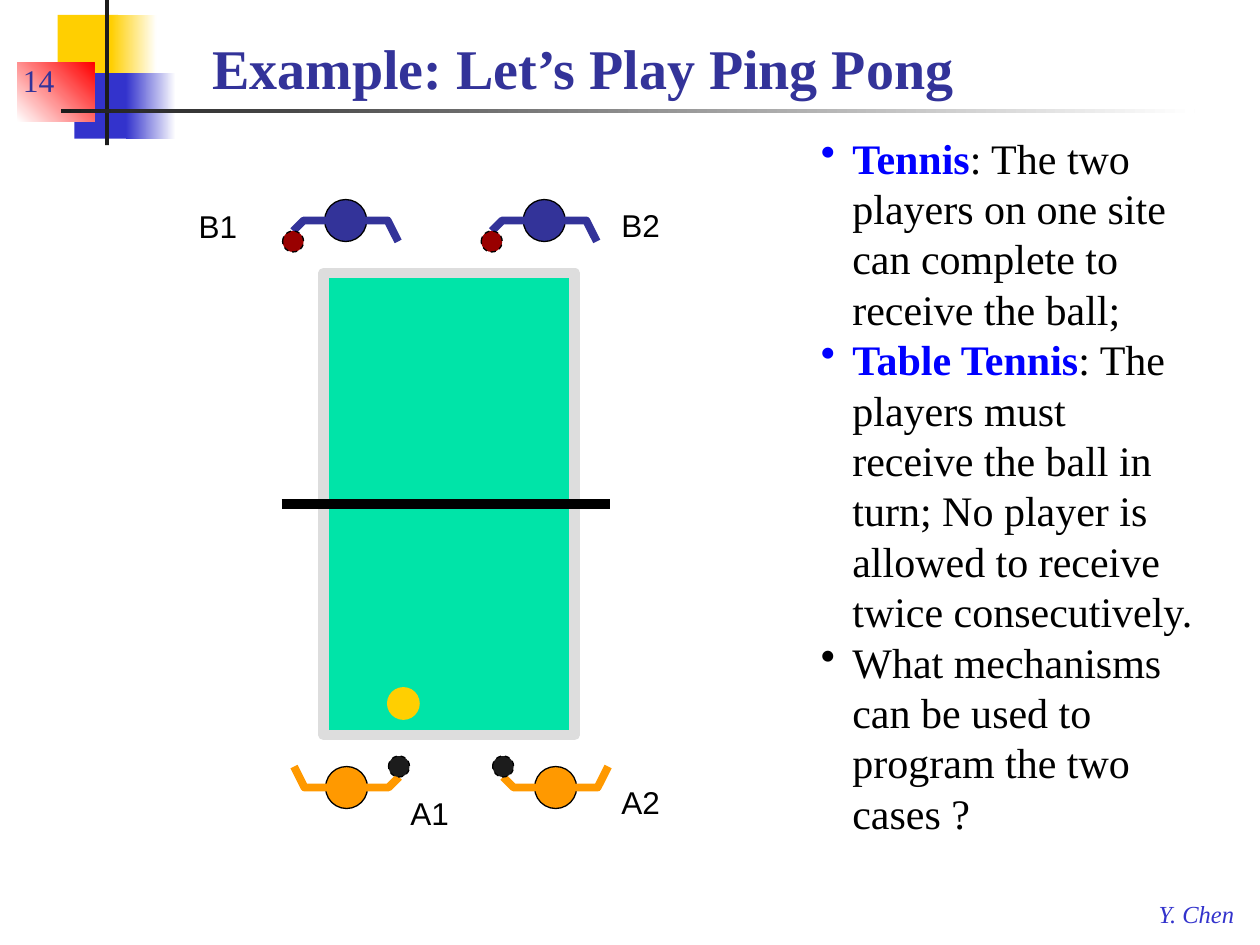
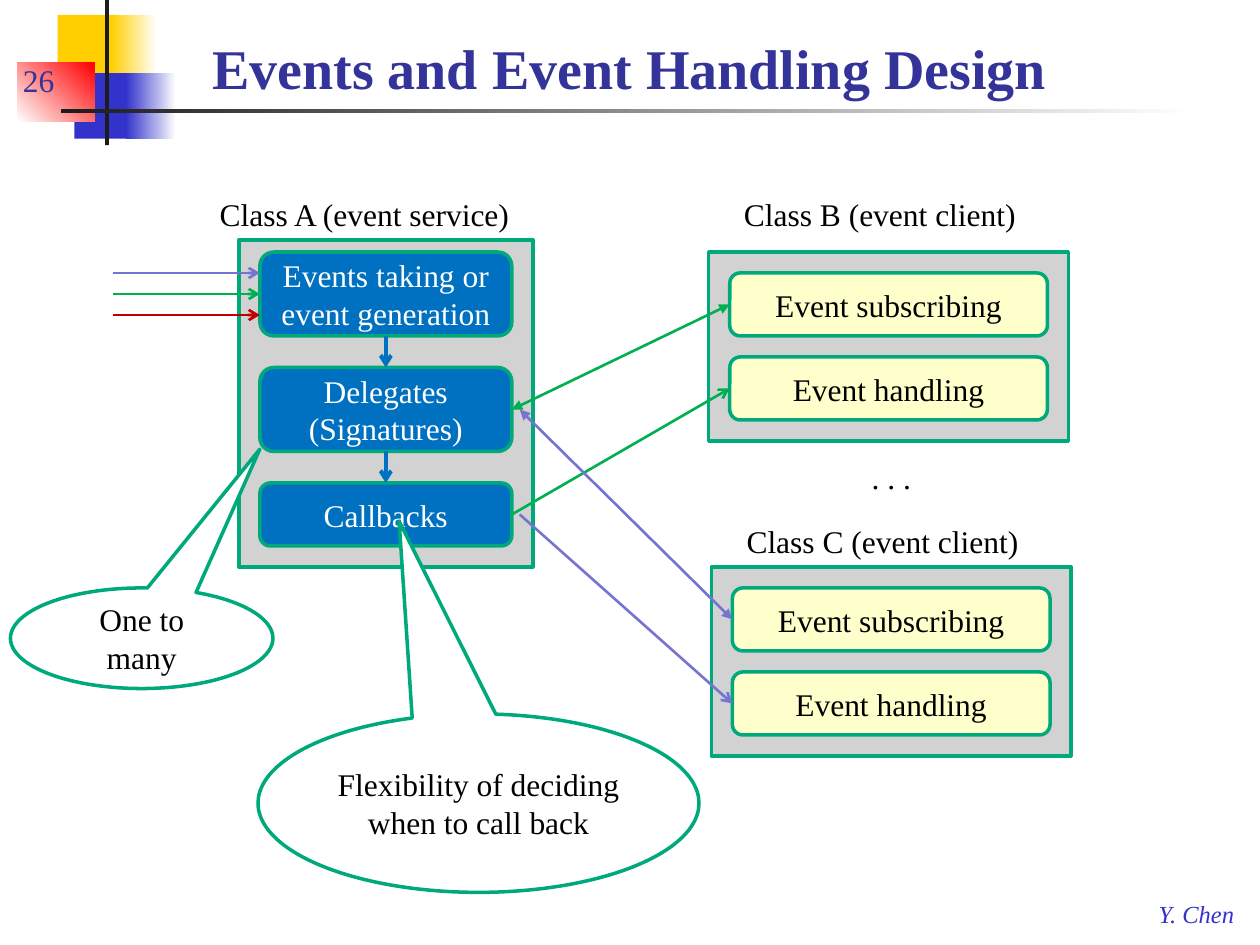
import pptx
import pptx.util
import pptx.dml.color
import pptx.enum.dml
import pptx.enum.shapes
import pptx.enum.text
import pptx.oxml
import pptx.oxml.ns

Pt = pptx.util.Pt
RGBColor = pptx.dml.color.RGBColor
Shape = pptx.enum.shapes.MSO_SHAPE
Anchor = pptx.enum.text.MSO_ANCHOR
Align = pptx.enum.text.PP_ALIGN
AutoSize = pptx.enum.text.MSO_AUTO_SIZE

# Colours
BLACK = RGBColor(0x00, 0x00, 0x00)
WHITE = RGBColor(0xFF, 0xFF, 0xFF)
CHARCOAL = RGBColor(0x1C, 0x1C, 0x1C)
YELLOW = RGBColor(0xFF, 0xCF, 0x01)
BLUE = RGBColor(0x33, 0x33, 0xCC)
RED = RGBColor(0xFF, 0x00, 0x00)
NAVY = RGBColor(0x33, 0x33, 0x99)
KEYWORD = RGBColor(0x00, 0x00, 0xFF)
TABLE_GREEN = RGBColor(0x00, 0xE4, 0xA8)
TABLE_EDGE = RGBColor(0xDD, 0xDD, 0xDD)
ORANGE = RGBColor(0xFF, 0x99, 0x00)
MAROON = RGBColor(0x99, 0x00, 0x00)
PANEL = RGBColor(0xD2, 0xD2, 0xD2)
OUTLINE = RGBColor(0x00, 0xA9, 0x7C)
SERVICE = RGBColor(0x00, 0x70, 0xC0)
CLIENT = RGBColor(0xFF, 0xFF, 0xCC)
GREEN = RGBColor(0x00, 0xB0, 0x50)
VIOLET = RGBColor(0x75, 0x75, 0xD1)
CRIMSON = RGBColor(0xC0, 0x00, 0x00)

# Text formats
SERIF = {"name": "Times New Roman", "size": Pt(18), "bold": False}
SANS = {**SERIF, "name": "Arial"}
TITLE = {**SERIF, "size": Pt(32), "bold": True}
BODY = {**SERIF, "size": Pt(24)}
SIGNATURE = {**SERIF, "size": Pt(14), "italic": True}


def apply(target, formats):
    for name, value in formats.items():
        setattr(target, name, value)


def place(shape, box):
    apply(shape, dict(zip(("left", "top", "width", "height"), map(Pt, box))))


def add_span(para, text, formats, color):
    span = para.add_run()
    span.text = text
    apply(span.font, formats)
    span.font.color.rgb = color


def add_text(page, box, text, formats=SERIF, color=BLACK, frame=None):
    label = page.shapes.add_textbox(*map(Pt, box))
    apply(label.text_frame, frame or {"word_wrap": False,
                                      "auto_size": AutoSize.SHAPE_TO_FIT_TEXT})
    add_span(label.text_frame.paragraphs[0], text, formats, color)


def paint(shape, fill, line=None, width=0.75):
    """Fill with a colour, or a (start, end, angle) gradient; None means empty."""
    shape.shadow.inherit = False
    if fill is None:
        shape.fill.background()
    elif isinstance(fill, RGBColor):
        shape.fill.solid()
        shape.fill.fore_color.rgb = fill
    else:
        shape.fill.gradient()
        shape.fill.gradient_angle = fill[2]
        for stop, color in zip(shape.fill.gradient_stops, fill):
            stop.color.rgb = color
    if line is None:
        shape.line.fill.background()
    else:
        shape.line.color.rgb = line
        shape.line.width = Pt(width)


def add_figure(page, kind, box, fill, line=None, width=0.75):
    figure = page.shapes.add_shape(kind, *map(Pt, box))
    paint(figure, fill, line, width)
    return figure


def add_node(page, kind, box, lines, fill, color=BLACK):
    node = add_figure(page, kind, box, fill, OUTLINE, 2)
    frame = node.text_frame
    apply(frame, {"word_wrap": True, "vertical_anchor": Anchor.MIDDLE})
    for index, text in enumerate(lines):
        para = frame.add_paragraph() if index else frame.paragraphs[0]
        para.alignment = Align.CENTER
        add_span(para, text, SERIF, color)
    return node


def add_line(page, start, end, color, width=1.5, head=None, tail=None):
    """Each end is a point, or a (shape, site) pair to be joined."""
    points = [(0, 0) if hasattr(spot[0], "shape_id") else spot
              for spot in (start, end)]
    line = page.shapes.add_connector(
        pptx.enum.shapes.MSO_CONNECTOR.STRAIGHT, *map(Pt, points[0] + points[1]))
    for spot, join in ((start, line.begin_connect), (end, line.end_connect)):
        if hasattr(spot[0], "shape_id"):
            join(*spot)
    line.line.color.rgb = color
    line.line.width = Pt(width)
    stroke = line.line._get_or_add_ln()
    for tag, kind in (("a:headEnd", head), ("a:tailEnd", tail)):
        if kind:
            tip = pptx.oxml.ns.qn(tag)
            stroke.append(stroke.makeelement(tip, {"type": kind}))
    properties = line._element.spPr
    properties.append(properties.makeelement(pptx.oxml.ns.qn("a:effectLst"), {}))


# Parts shared by every slide
def add_band(page):
    for box, fill in (
        ((33, 8.5, 34.5, 37.5), YELLOW),
        ((63.5, 8.5, 26, 37.5), (YELLOW, WHITE, 0)),
        ((42.5, 41.75, 33, 37.5), BLUE),
        ((72, 41.75, 28.5, 37.5), (BLUE, WHITE, 0)),
        ((10, 36, 44, 33.5), (WHITE, RED, 45)),
        ((60, 0, 2.25, 83), CHARCOAL),
        ((34.75, 62.25, 648, 2.25), (CHARCOAL, WHITE, 0)),
    ):
        add_figure(page, Shape.RECTANGLE, box, fill)


def start_page(deck, title, number):
    page = deck.slides.add_slide(deck.slide_layouts[5])
    add_band(page)
    add_text(page, (655, 510, 59, 24), "Y. Chen", SIGNATURE, BLUE)
    add_text(page, (6, 24, 150, 36), number, SERIF, NAVY,
             {"word_wrap": True, "vertical_anchor": Anchor.BOTTOM})
    heading = page.shapes.title
    place(heading, (114, 12, 600, 49))
    apply(heading.text_frame, {"vertical_anchor": Anchor.BOTTOM,
                               "word_wrap": True, "auto_size": AutoSize.NONE})
    para = heading.text_frame.paragraphs[0]
    para.alignment = Align.LEFT
    add_span(para, title, TITLE, NAVY)
    return page


# Ping pong slide
def add_player(page, left, top, color, racket_color, mirror=False, flip=False):
    """A player in a 66 by 30 box, facing down unless flipped."""
    def spot(x, y, size=0):
        return (left + (66 - x - size if mirror else x),
                top + (30 - y - size if flip else y))

    add_figure(page, Shape.OVAL, (*spot(24, 0, 24), 24, 24), color, BLACK)
    points = [tuple(map(Pt, spot(*point)))
              for point in ((6, 18), (12, 12), (60, 12), (66, 24))]
    outline = page.shapes.build_freeform(*points[0])
    outline.add_line_segments(points[1:], close=False)
    paint(outline.convert_to_shape(), None, color, 4.5)
    racket = add_figure(page, Shape.OVAL, (*spot(0, 18, 12), 12, 12),
                        racket_color, BLACK)
    racket.line.dash_style = pptx.enum.dml.MSO_LINE.DASH


def add_court(page, left, top, width, height):
    add_figure(page, Shape.RECTANGLE, (left, top, width, height),
               TABLE_GREEN, TABLE_EDGE, 6)
    net = top + height / 2
    add_line(page, (left - 24, net), (left + width + 20, net), BLACK, 6)


def add_rules(page, box):
    notes = page.shapes.add_textbox(*map(Pt, box))
    frame = notes.text_frame
    apply(frame, {"word_wrap": True, "auto_size": AutoSize.SHAPE_TO_FIT_TEXT})
    rules = (
        ("Tennis", ": The two players on one site can complete to receive the ball;"),
        ("Table Tennis", ": The players must receive the ball in turn; "
                         "No player is allowed to receive twice consecutively."),
        ("", "What mechanisms can be used to program the two cases ?"),
    )
    for index, (keyword, text) in enumerate(rules):
        para = frame.add_paragraph() if index else frame.paragraphs[0]
        layout = para._p.get_or_add_pPr()
        layout.set("marL", str(Pt(18)))
        layout.set("indent", str(-Pt(18)))
        layout.append(layout.makeelement(pptx.oxml.ns.qn("a:buChar"), {"char": "•"}))
        if keyword:
            add_span(para, keyword, {**BODY, "bold": True}, KEYWORD)
        add_span(para, text, BODY, BLACK)


def build_ping_pong(deck):
    page = start_page(deck, "Example: Let’s Play Ping Pong", "14")
    for name, left, top in (("A1", 227.5, 450), ("A2", 348, 444),
                            ("B1", 106.5, 115), ("B2", 348, 114)):
        add_text(page, (left, top, 36.5, 29), name, SANS)
    add_court(page, 185, 156, 143.5, 264)
    for left in (161.5, 275):
        add_player(page, left, 114, NAVY, MAROON)
    add_player(page, 168, 432, ORANGE, CHARCOAL, mirror=True, flip=True)
    add_player(page, 281.5, 432, ORANGE, CHARCOAL, flip=True)
    add_figure(page, Shape.OVAL, (221.5, 393, 18, 18), YELLOW, YELLOW)
    add_rules(page, (462, 72, 229, 415))


# Event handling slide
def add_service(page, left, top):
    add_figure(page, Shape.RECTANGLE, (left, top, 168, 187), PANEL, OUTLINE, 2)
    add_text(page, (left - 18, top - 29, 199, 29), "Class A (event service)")
    nodes = []
    node_top = top + 7
    for lines, height in ((("Events taking or", "event generation"), 48),
                          (("Delegates", "(Signatures)"), 48),
                          (("Callbacks",), 36)):
        nodes.append(add_node(page, Shape.ROUNDED_RECTANGLE,
                              (left + 12, node_top, 144, height),
                              lines, SERVICE, WHITE))
        node_top += height + 18
    for upper, lower in zip(nodes, nodes[1:]):
        add_line(page, (upper, 2), (lower, 0), SERVICE, 2.25, tail="arrow")
    # Incoming events
    start = left - 72
    add_line(page, (start, top + 31), (nodes[0], 1), GREEN, tail="arrow")
    for offset, color in ((19, VIOLET), (43, CRIMSON)):
        add_line(page, (start, top + offset), (left + 12, top + offset),
                 color, tail="arrow")
    return nodes


def add_client(page, left, top, name, label_rise):
    add_figure(page, Shape.RECTANGLE, (left, top, 205.5, 108), PANEL, OUTLINE, 2)
    add_text(page, (left + 13, top - label_rise, 187, 29), name)
    return [add_node(page, Shape.ROUNDED_RECTANGLE,
                     (left + 12, top + 12 + 48 * row, 181.5, 36), (text,), CLIENT)
            for row, text in enumerate(("Event subscribing", "Event handling"))]


def add_links(page, client, delegate_end, callback_end, color):
    subscribing, handling = client
    add_line(page, callback_end, (handling, 1), color, tail="arrow")
    add_line(page, (subscribing, 1), delegate_end, color,
             head="triangle", tail="triangle")


def add_callout(page, box, text, tip):
    callout = add_node(page, Shape.OVAL_CALLOUT, box, (text,), WHITE)
    for index, value in enumerate(tip):
        callout.adjustments[index] = value


def build_events(deck):
    page = start_page(deck, "Events and Event Handling Design", "26")
    events, delegates, callbacks = add_service(page, 136.5, 137)
    class_b = add_client(page, 405, 144, "Class B (event client)", 36)
    add_links(page, class_b, (delegates, 3), (callbacks, 3), GREEN)
    class_c = add_client(page, 406.5, 324, "Class C (event client)", 29)
    add_links(page, class_c, (297, 234), (297, 294), VIOLET)
    add_callout(page, (147.5, 408, 252, 102),
                "Flexibility of deciding when to call back", (-0.18, -1.58))
    add_text(page, (491, 258, 37.5, 29), ". . .")
    add_callout(page, (6, 336, 150, 57.5), "One to many", (0.45, -1.88))


def main():
    deck = pptx.Presentation()
    apply(deck, {"slide_width": Pt(720), "slide_height": Pt(540)})
    build_ping_pong(deck)
    build_events(deck)
    deck.save("out.pptx")


if __name__ == "__main__":
    main()
